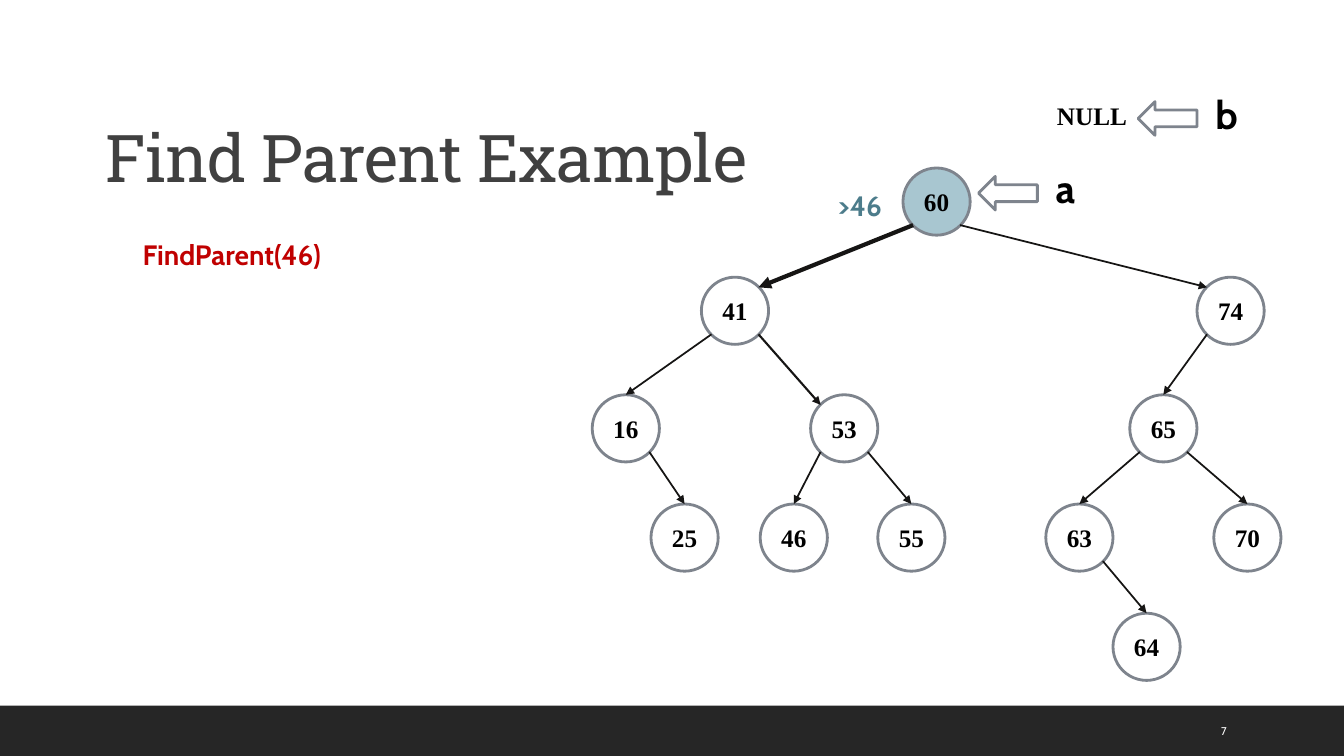
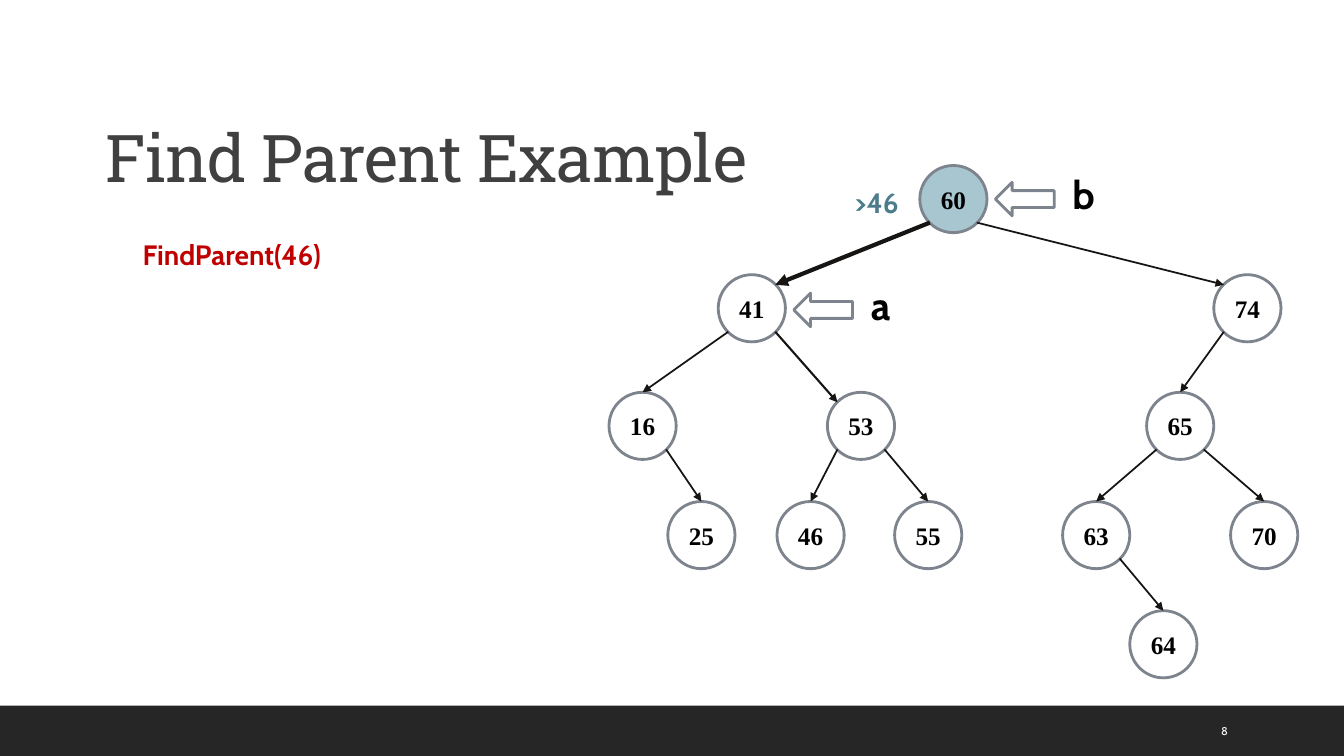
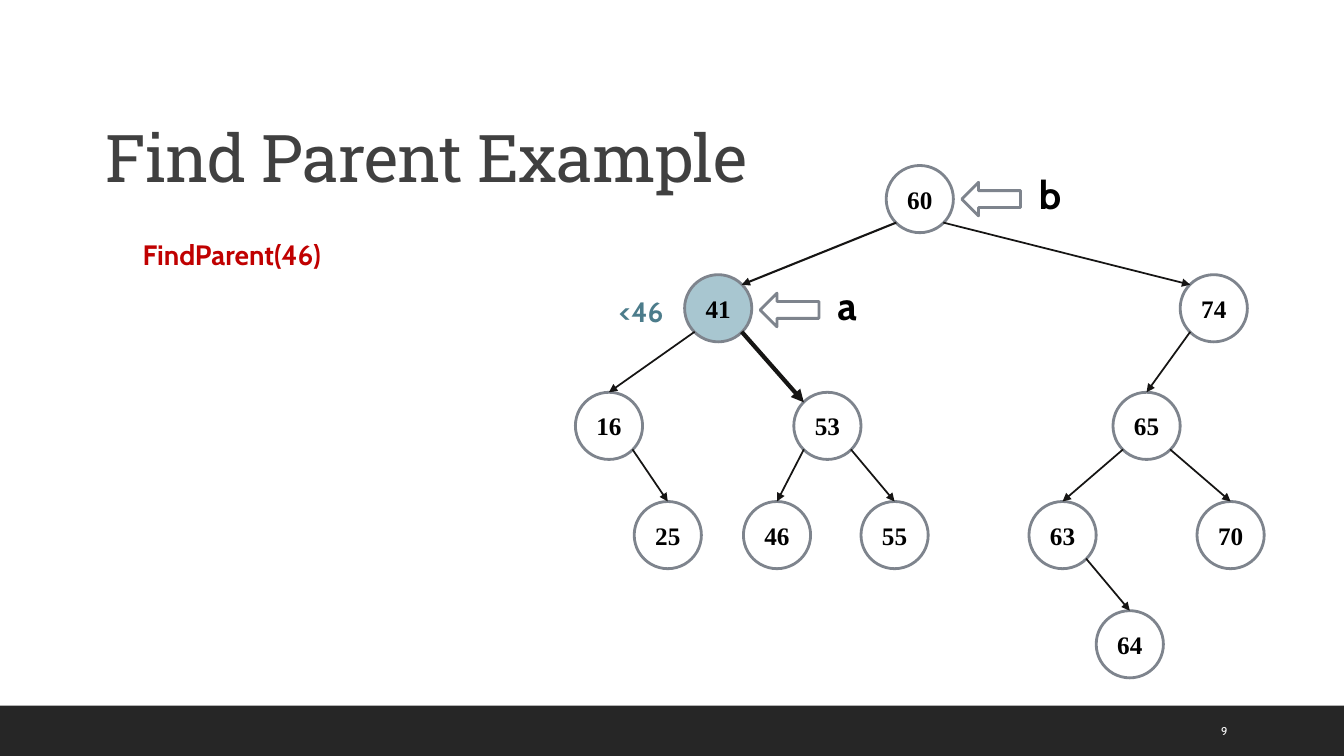
"""Build three slides that trace a parent search in a binary search tree."""

from dataclasses import dataclass
from math import sqrt
from typing import NamedTuple

from lxml.etree import SubElement
from pptx import Presentation
from pptx.dml.color import RGBColor
from pptx.enum.shapes import MSO_CONNECTOR as Connector, MSO_SHAPE as Preset
from pptx.enum.text import MSO_ANCHOR as Anchor, PP_ALIGN as Align
from pptx.oxml.ns import qn
from pptx.shapes.autoshape import Shape
from pptx.slide import Slide
from pptx.util import Emu, Pt


@dataclass(frozen=True)
class Theme:
    """Colours, fonts, type sizes and line widths of the deck."""

    white: str = "FFFFFF"
    band: str = "262626"
    title: str = "404040"
    call: str = "C00000"
    ink: str = "000000"
    outline: str = "7E848D"
    visited: str = "A8C6D0"
    comparison: str = "4C7C8B"
    edge: str = "161514"
    title_font: str = "Roboto Slab"
    body_font: str = "Cabin"
    node_font: str = "Times New Roman"
    title_size: int = 47
    pointer_size: int = 28
    body_size: int = 20
    node_size: int = 18
    number_size: int = 8
    outline_width: float = 2
    edge_width: float = 1.25
    spine_width: float = 1.5
    step_width: float = 3


class Box(NamedTuple):
    """A rectangle in px."""

    left: int
    top: int
    width: int
    height: int


class Point(NamedTuple):
    """A position in px."""

    x: int
    y: int


class Edge(NamedTuple):
    """A link from parent to child, ending at the child's corner or top."""

    parent: int
    child: int
    to_corner: bool = False
    spine: bool = False


@dataclass(frozen=True)
class Step:
    """One state of the search."""

    number: int
    root: Point
    visited: int
    next_node: int
    comparison: str
    pointers: dict[str, Point]
    null_box: Box | None = None


THEME = Theme()
PX = 7620
WIDTH, HEIGHT = 1600, 900
NODE = 80
CORNER = round(NODE / 2 * (1 - sqrt(0.5)))
OFFSETS = {
    60: Point(0, 0),
    41: Point(-240, 130),
    74: Point(350, 130),
    16: Point(-370, 270),
    53: Point(-110, 270),
    65: Point(270, 270),
    70: Point(370, 400),
    63: Point(170, 400),
    64: Point(250, 530),
    55: Point(-30, 400),
    46: Point(-170, 400),
    25: Point(-300, 400),
}
EDGES = [
    Edge(60, 41, to_corner=True, spine=True),
    Edge(60, 74, to_corner=True),
    Edge(41, 16),
    Edge(41, 53, to_corner=True, spine=True),
    Edge(74, 65),
    Edge(53, 55),
    Edge(53, 46),
    Edge(16, 25),
    Edge(65, 63),
    Edge(65, 70),
    Edge(63, 64),
]
STEPS = [
    Step(7, Point(1075, 200), 60, 41, ">46",
         {"a": Point(1165, 210), "b": Point(1355, 121)}, Box(1210, 98, 180, NODE)),
    Step(8, Point(1095, 197), 60, 41, ">46",
         {"a": Point(945, 349), "b": Point(1185, 217)}),
    Step(9, Point(1055, 197), 41, 53, "<46",
         {"a": Point(905, 349), "b": Point(1145, 217)}),
]


def px(*lengths: int) -> list[Emu]:
    """Turn px lengths into EMU."""
    return [Emu(length * PX) for length in lengths]


def write(shape: Shape, text: str, *, size: int, color: str, font: str = THEME.body_font,
          bold: bool = False, align: Align = Align.LEFT, anchor: Anchor = Anchor.TOP,
          line_spacing: float | None = None, tracking: int | None = None) -> None:
    """Fill a shape with one formatted paragraph."""
    frame = shape.text_frame
    frame.word_wrap = True
    frame.vertical_anchor = anchor
    paragraph = frame.paragraphs[0]
    paragraph.alignment = align
    if line_spacing is not None:
        paragraph.line_spacing = line_spacing
    run = paragraph.add_run()
    run.text = text
    run.font.name = font
    run.font.size = Pt(size)
    run.font.bold = bold
    run.font.color.rgb = RGBColor.from_string(color)
    if tracking is not None:
        run.font._element.set("spc", str(tracking))


def add_label(slide: Slide, box: Box, text: str, **text_format) -> None:
    """Add a text box."""
    write(slide.shapes.add_textbox(*px(*box)), text, **text_format)


def add_preset(slide: Slide, preset: Preset, box: Box, fill: str | None = None,
               outline: str | None = None) -> Shape:
    """Add a flat preset shape."""
    shape = slide.shapes.add_shape(preset, *px(*box))
    shape.shadow.inherit = False
    if fill:
        shape.fill.solid()
        shape.fill.fore_color.rgb = RGBColor.from_string(fill)
    else:
        shape.fill.background()
    if outline:
        shape.line.color.rgb = RGBColor.from_string(outline)
        shape.line.width = Pt(THEME.outline_width)
    else:
        shape.line.fill.background()
    return shape


def add_node(slide: Slide, box: Box, text: str, fill: str | None = None,
             outline: str | None = None) -> None:
    """Add an ellipse with a centred label."""
    write(add_preset(slide, Preset.OVAL, box, fill, outline), text, size=THEME.node_size,
          color=THEME.ink, font=THEME.node_font, bold=True, align=Align.CENTER,
          anchor=Anchor.MIDDLE)


def add_edge(slide: Slide, start: Point, end: Point, width: float) -> None:
    """Add an arrow between two points."""
    connector = slide.shapes.add_connector(Connector.STRAIGHT, *px(*start, *end))
    connector.line.color.rgb = RGBColor.from_string(THEME.edge)
    connector.line.width = Pt(width)
    properties = connector.element.spPr
    SubElement(properties.find(qn("a:ln")), qn("a:tailEnd"), type="triangle")
    SubElement(properties, qn("a:effectLst"))


def add_pointer(slide: Slide, letter: str, at: Point) -> None:
    """Add a block arrow and the variable it stands for."""
    add_preset(slide, Preset.LEFT_ARROW, Box(*at, 70, 40), THEME.white, THEME.outline)
    add_label(slide, Box(at.x + 80, at.y - 20, 70, 68), letter,
              size=THEME.pointer_size, color=THEME.ink, bold=True)


def add_frame(slide: Slide, number: int) -> None:
    """Add the band, slide number, title and call shared by all slides."""
    add_preset(slide, Preset.RECTANGLE, Box(0, 840, WIDTH, 60), THEME.band)
    add_label(slide, Box(1442, 846, 102, 48), str(number), size=THEME.number_size,
              color=THEME.white, anchor=Anchor.MIDDLE)
    add_label(slide, Box(114, 49, 1320, 191), "Find Parent Example",
              size=THEME.title_size, color=THEME.title, font=THEME.title_font,
              anchor=Anchor.BOTTOM, line_spacing=0.9, tracking=-50)
    add_label(slide, Box(158, 277, 270, 53), "FindParent(46)", size=THEME.body_size,
              color=THEME.call, bold=True)


def add_tree(slide: Slide, step: Step) -> None:
    """Draw the tree with the visited node and the chosen edge marked."""
    places = {key: Point(step.root.x + offset.x, step.root.y + offset.y)
              for key, offset in OFFSETS.items()}
    for key, place in places.items():
        fill = THEME.visited if key == step.visited else THEME.white
        add_node(slide, Box(*place, NODE, NODE), str(key), fill, THEME.outline)
    for edge in EDGES:
        parent, child = places[edge.parent], places[edge.child]
        near, far = (CORNER, NODE - CORNER) if child.x < parent.x else (NODE - CORNER, CORNER)
        start = Point(parent.x + near, parent.y + NODE - CORNER)
        end = (Point(child.x + far, child.y + CORNER) if edge.to_corner
               else Point(child.x + NODE // 2, child.y))
        width = THEME.spine_width if edge.spine else THEME.edge_width
        if (edge.parent, edge.child) == (step.visited, step.next_node):
            width = THEME.step_width
        add_edge(slide, start, end, width)
    visited = places[step.visited]
    add_label(slide, Box(visited.x - 90, visited.y + 18, 100, 53), step.comparison,
              size=THEME.body_size, color=THEME.comparison, bold=True)


def main() -> None:
    """Build and save the presentation."""
    presentation = Presentation()
    presentation.slide_width, presentation.slide_height = px(WIDTH, HEIGHT)
    for step in STEPS:
        slide = presentation.slides.add_slide(presentation.slide_layouts[6])
        add_frame(slide, step.number)
        add_tree(slide, step)
        for letter, at in step.pointers.items():
            add_pointer(slide, letter, at)
        if step.null_box:
            add_node(slide, step.null_box, "NULL")
    presentation.save("out.pptx")


if __name__ == "__main__":
    main()
